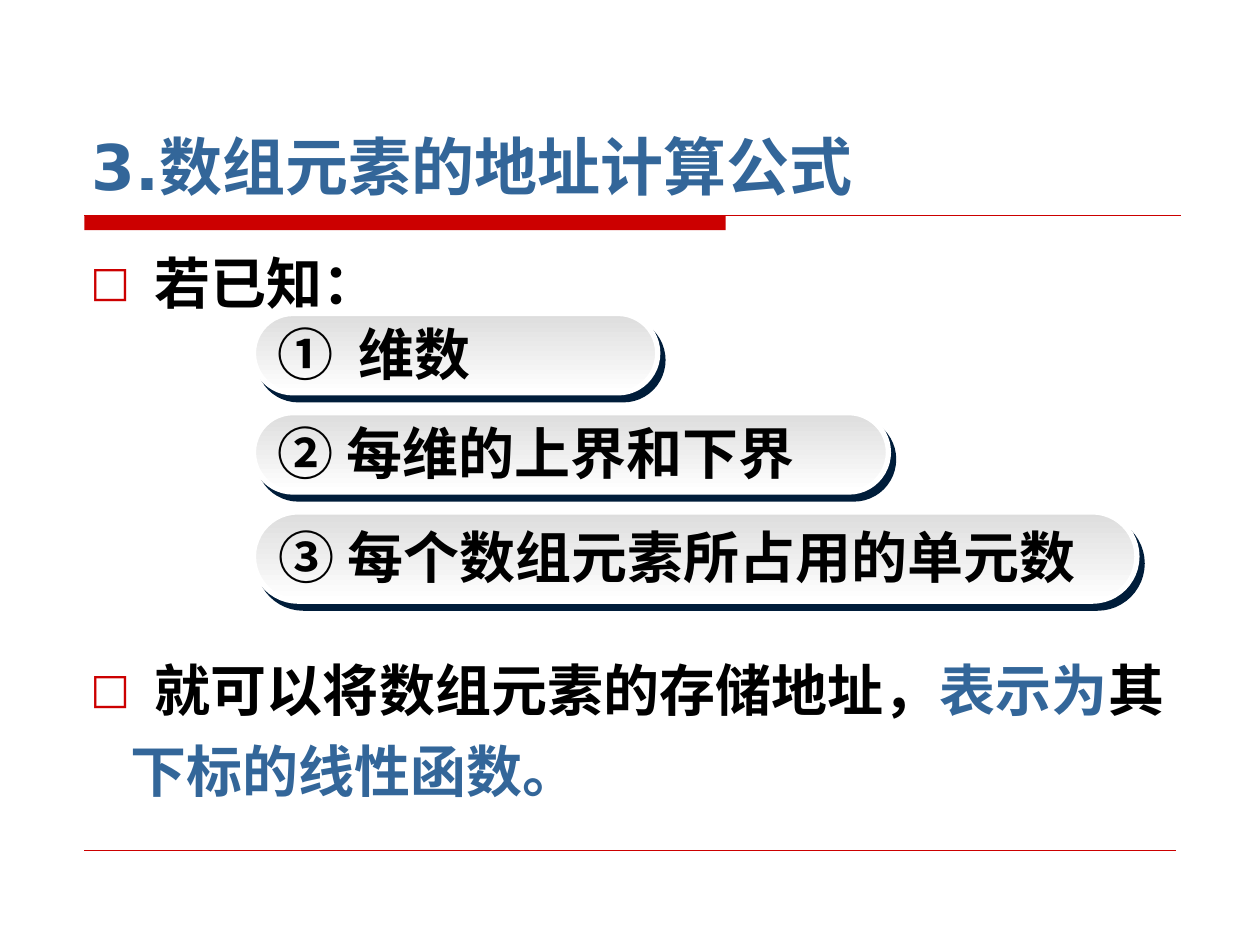
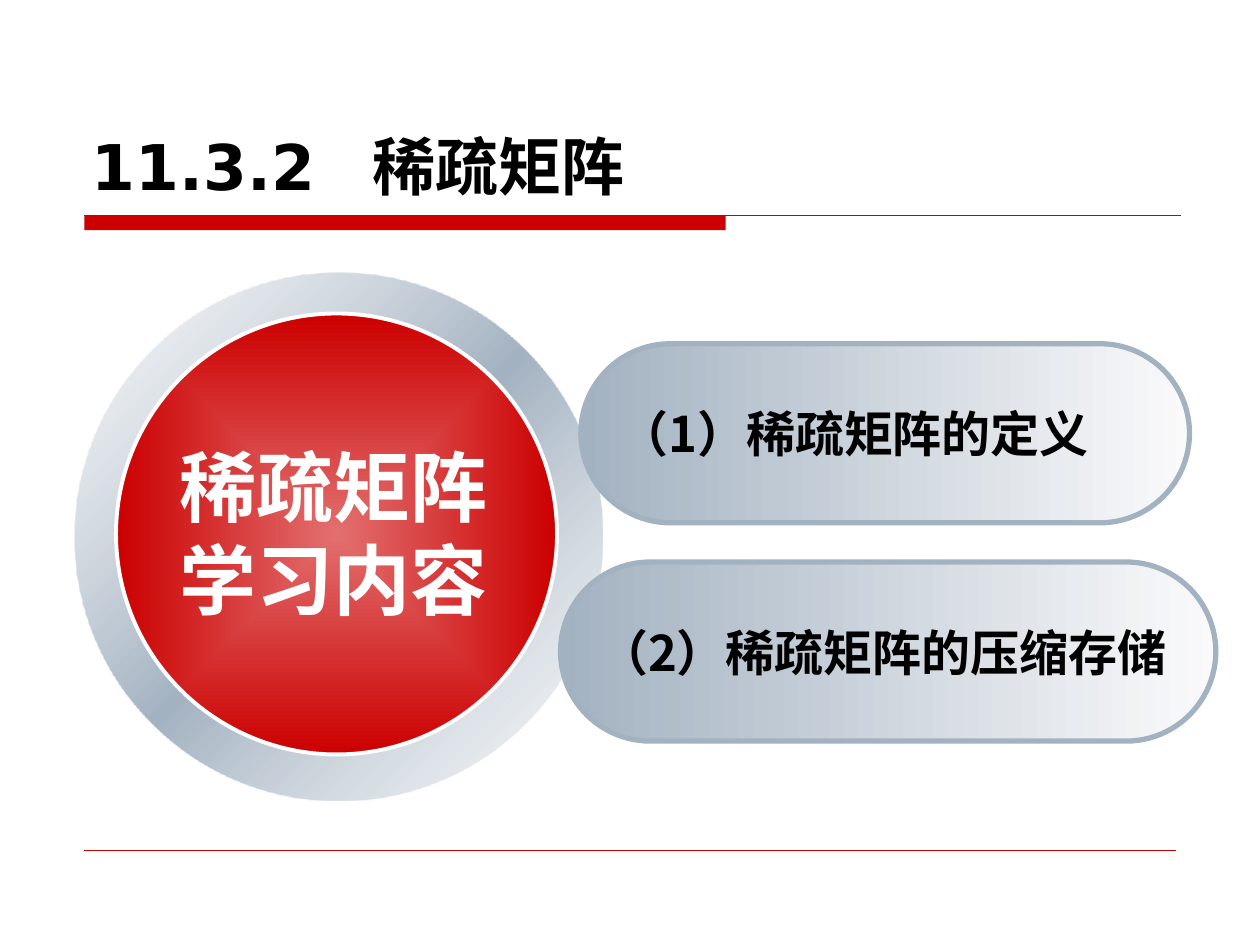
from dataclasses import dataclass
from typing import Optional

from lxml import etree
from pptx import Presentation
from pptx.dml.color import RGBColor
from pptx.enum.shapes import MSO_CONNECTOR as Connector, MSO_SHAPE as Shape
from pptx.enum.text import MSO_ANCHOR as Anchor, MSO_AUTO_SIZE as AutoSize, PP_ALIGN as Align
from pptx.oxml.ns import qn
from pptx.util import Cm, Pt

RED = RGBColor(0xCC, 0x00, 0x00)
ROSE = RGBColor(0xE2, 0x6F, 0x6F)
BLUE = RGBColor(0x33, 0x66, 0x99)
NAVY = RGBColor(0x00, 0x1D, 0x3A)
STEEL = RGBColor(0xA3, 0xB2, 0xC1)
MIST = RGBColor(0xC7, 0xD0, 0xD9)
PALE = RGBColor(0xFA, 0xFA, 0xFB)
SILVER = RGBColor(0xDD, 0xDD, 0xDD)
BLACK = RGBColor(0x00, 0x00, 0x00)
WHITE = RGBColor(0xFF, 0xFF, 0xFF)

HEAD_FONT = "DejaVu Sans"
TEXT_FONT = "Arial"
CJK_FONT = "Noto Sans CJK SC"


@dataclass(frozen=True)
class Span:
    text: str
    font: str = HEAD_FONT
    color: RGBColor = BLACK


@dataclass(frozen=True)
class Stop:
    position: int
    color: RGBColor
    opacity: int = 100


@dataclass(frozen=True)
class Pill:
    left: float
    top: float
    width: float
    height: float
    spans: tuple[Span, ...]
    tab: Optional[float] = None


@dataclass(frozen=True)
class PillStyle:
    stops: tuple[Stop, ...]
    angle: int
    outline: RGBColor
    size: int
    shadowed: bool


@dataclass(frozen=True)
class BodyLine:
    spans: tuple[Span, ...]
    indent: float
    space_before: int = 0
    bulleted: bool = False


CONDITION_STYLE = PillStyle((Stop(0, SILVER), Stop(100, WHITE)), 90, WHITE, 32, True)
TOPIC_STYLE = PillStyle((Stop(0, STEEL), Stop(100, PALE)), 0, STEEL, 28, False)

CONDITIONS = [
    (8.15, 1.6, "①\t", "维数"),
    (12.8, 1.6, "② ", "每维的上界和下界"),
    (17.81, 1.8, "③ ", "每个数组元素所占用的单元数"),
]
TOPICS = [
    Pill(11.71, 6.93, 12.27, 3.61, (Span("（1）稀疏矩阵的定义", CJK_FONT),)),
    Pill(11.3, 11.33, 13.21, 3.61, (Span("（2）稀疏矩阵的压缩存储", CJK_FONT),)),
]
BODY_LINES = [
    BodyLine((Span("若已知："),), 1.3, bulleted=True),
    BodyLine((Span("就可以将数组元素的存储地址，"), Span("表示为", color=BLUE), Span("其")),
             1.3, space_before=194, bulleted=True),
    BodyLine((Span("下标的线性函数。", color=BLUE),), 0.8, space_before=8),
]


def child(parent, tag: str, **attributes):
    return etree.SubElement(parent, qn(tag), {name: str(value) for name, value in attributes.items()})


def add_color(parent, color: RGBColor, opacity: int = 100) -> None:
    node = child(parent, "a:srgbClr", val=color)
    if opacity < 100:
        child(node, "a:alpha", val=opacity * 1000)


def fill_gradient(shape, stops: tuple[Stop, ...], angle: Optional[int] = None) -> None:
    """Fill along an angle, or outwards from the centre when there is none."""
    shape.fill.background()
    properties = shape._element.spPr
    gradient = etree.Element(qn("a:gradFill"), rotWithShape="1")
    stop_list = child(gradient, "a:gsLst")
    for stop in stops:
        add_color(child(stop_list, "a:gs", pos=stop.position * 1000), stop.color, stop.opacity)
    if angle is None:
        route = child(gradient, "a:path", path="rect")
        child(route, "a:fillToRect", l=50000, t=50000, r=50000, b=50000)
    else:
        child(gradient, "a:lin", ang=angle * 60000, scaled=0)
    properties.replace(properties.find(qn("a:noFill")), gradient)


def add_shadow(effects, color: RGBColor, distance: int, direction: int) -> None:
    shadow = child(effects, "a:outerShdw", blurRad=0, dist=Pt(distance),
                   dir=direction * 60000, algn="ctr", rotWithShape=0)
    add_color(shadow, color)


def add_tab(para, position: float) -> None:
    stops = child(para._p.get_or_add_pPr(), "a:tabLst")
    child(stops, "a:tab", pos=Cm(position), algn="l")


def write_spans(para, spans: tuple[Span, ...], size: int) -> None:
    for span in spans:
        run = para.add_run()
        run.text = span.text
        run.font.name, run.font.size, run.font.bold = span.font, Pt(size), True
        run.font.color.rgb = span.color


def place(shape, left: float, top: float, width: float, height: float) -> None:
    shape.left, shape.top, shape.width, shape.height = Cm(left), Cm(top), Cm(width), Cm(height)


def add_plain_shape(page, kind, left: float, top: float, width: float, height: float):
    shape = page.shapes.add_shape(kind, Cm(left), Cm(top), Cm(width), Cm(height))
    shape.shadow.inherit = False
    shape.line.fill.background()
    return shape


def add_rule(page, top: float, right: float, weight: float) -> None:
    rule = page.shapes.add_connector(Connector.STRAIGHT, Cm(1.7), Cm(top), Cm(right), Cm(top))
    rule.line.color.rgb = RED
    rule.line.width = Pt(weight)
    child(rule._element.spPr, "a:effectLst")


def add_page(deck, layout_index: int, title: Span, tab: Optional[float] = None):
    """Add a slide with the shared title style, title band and foot rule."""
    page = deck.slides.add_slide(deck.slide_layouts[layout_index])
    band = add_plain_shape(page, Shape.RECTANGLE, 1.7, 4.34, 12.93, 0.3)
    band.fill.solid()
    band.fill.fore_color.rgb = RED
    add_rule(page, 4.34, 23.8, 0.75)
    add_rule(page, 17.15, 23.7, 0.25)

    heading = page.shapes.title
    place(heading, 1.6, 0.84, 22.23, 3.38)
    frame = heading.text_frame
    frame.auto_size = AutoSize.NONE
    frame.vertical_anchor = Anchor.BOTTOM
    para = frame.paragraphs[0]
    para.alignment = Align.LEFT
    if tab is not None:
        add_tab(para, tab)
    write_spans(para, (title,), 36)
    return page


def fill_body(body, lines: list[BodyLine]) -> None:
    place(body, 1.57, 4.88, 22.23, 11.86)
    frame = body.text_frame
    frame.auto_size = AutoSize.NONE
    for index, line in enumerate(lines):
        para = frame.add_paragraph() if index else frame.paragraphs[0]
        para.space_before = Pt(line.space_before)
        properties = para._p.get_or_add_pPr()
        properties.set("marL", str(Cm(line.indent)))
        properties.set("indent", str(-Cm(line.indent) if line.bulleted else 0))
        if line.bulleted:
            add_color(child(properties, "a:buClr"), RED)
            child(properties, "a:buSzPct", val=75000)
            child(properties, "a:buFont", typeface=HEAD_FONT)
            child(properties, "a:buChar", char="□")
        else:
            child(properties, "a:buNone")
        write_spans(para, line.spans, 32)


def add_pill(page, pill: Pill, style: PillStyle) -> None:
    shape = add_plain_shape(page, Shape.ROUNDED_RECTANGLE, pill.left, pill.top, pill.width, pill.height)
    shape.adjustments[0] = 0.5
    fill_gradient(shape, style.stops, style.angle)
    shape.line.color.rgb = style.outline
    shape.line.width = Pt(3)
    if style.shadowed:
        add_shadow(shape._element.spPr.find(qn("a:effectLst")), NAVY, 5, 53)
    frame = shape.text_frame
    frame.word_wrap = False
    frame.vertical_anchor = Anchor.MIDDLE
    para = frame.paragraphs[0]
    para.alignment = Align.LEFT
    if pill.tab is not None:
        add_tab(para, pill.tab)
    write_spans(para, pill.spans, style.size)


def add_hub(page) -> None:
    """Draw the ring and the red disc."""
    ring = add_plain_shape(page, Shape.DONUT, 1.5, 5.49, 10.64, 10.64)
    ring.adjustments[0] = 0.09
    fill_gradient(ring, (Stop(0, MIST, 12), Stop(50, STEEL), Stop(100, MIST, 12)), 45)
    disc = add_plain_shape(page, Shape.OVAL, 2.34, 6.32, 8.89, 8.89)
    fill_gradient(disc, (Stop(0, ROSE), Stop(100, RED)))
    disc.line.color.rgb = WHITE
    disc.line.width = Pt(2.25)


def add_hub_label(page, text: str) -> None:
    box = page.shapes.add_textbox(Cm(2.9), Cm(8.74), Cm(7.65), Cm(3.99))
    box.text_frame.word_wrap = True
    para = box.text_frame.paragraphs[0]
    para.alignment = Align.CENTER
    write_spans(para, (Span(text, TEXT_FONT, WHITE),), 44)
    properties = para.runs[0]._r.get_or_add_rPr()
    effects = etree.Element(qn("a:effectLst"))
    add_shadow(effects, BLACK, 2, 45)
    properties.find(qn("a:solidFill")).addnext(effects)


def build_address_page(deck) -> None:
    page = add_page(deck, 1, Span("3.数组元素的地址计算公式", color=BLUE))
    fill_body(page.placeholders[1], BODY_LINES)
    for row, (width, height, number, text) in enumerate(CONDITIONS):
        spans = (Span(number), Span(text, TEXT_FONT))
        tab = 1.64 if "\t" in number else None
        add_pill(page, Pill(5.11, 6.32 + 2 * row, width, height, spans, tab), CONDITION_STYLE)


def build_sparse_matrix_page(deck) -> None:
    page = add_page(deck, 5, Span("11.3.2\t稀疏矩阵"), tab=5.65)
    add_hub(page)
    for topic in TOPICS:
        add_pill(page, topic, TOPIC_STYLE)
    add_hub_label(page, "稀疏矩阵学习内容")


def main() -> None:
    deck = Presentation()
    deck.slide_width, deck.slide_height = Cm(25.4), Cm(19.05)
    build_address_page(deck)
    build_sparse_matrix_page(deck)
    deck.save("out.pptx")


if __name__ == "__main__":
    main()
